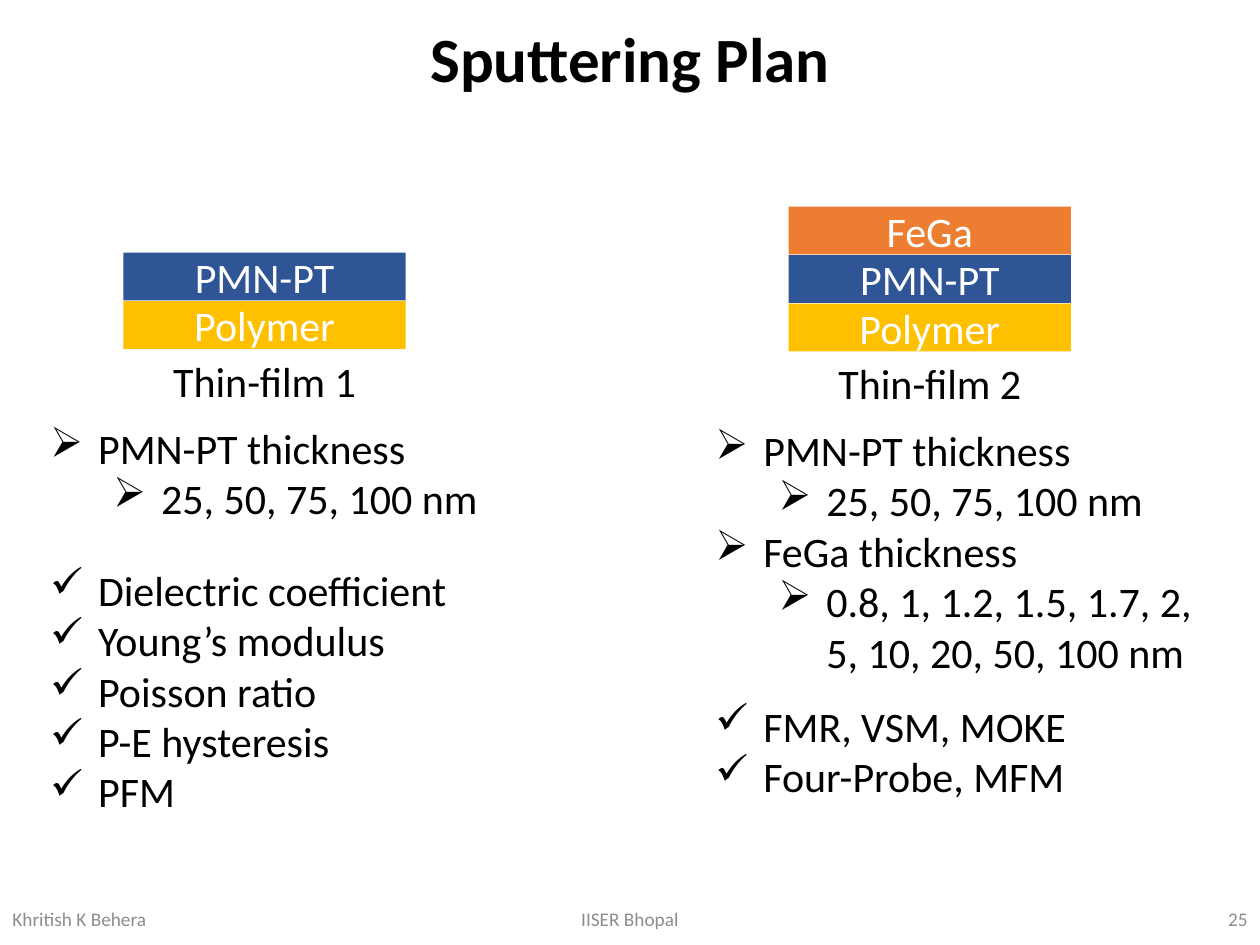
from lxml import etree
from pptx import Presentation
from pptx.dml.color import RGBColor
from pptx.enum.shapes import MSO_SHAPE
from pptx.enum.text import MSO_ANCHOR, PP_ALIGN
from pptx.oxml.ns import qn
from pptx.util import Inches, Pt

LEFT, MID, RIGHT = PP_ALIGN.LEFT, PP_ALIGN.CENTER, PP_ALIGN.RIGHT
TOP, CENTER = MSO_ANCHOR.TOP, MSO_ANCHOR.MIDDLE
RECT = MSO_SHAPE.RECTANGLE
COLORS = {"black": "000000", "white": "FFFFFF", "gray": "8C8C8C",
          "Polymer": "FFC000", "PMN-PT": "2F5597", "FeGa": "ED7D31"}

deck = Presentation()
deck.slide_width, deck.slide_height = Inches(10), Inches(7.5)
slide = deck.slides.add_slide(deck.slide_layouts[6])


def add_run(para, text, size=24, color="black", bold=False):
    run = para.add_run()
    run.text = text
    run.font.name = "Calibri"
    run.font.size = Pt(size)
    run.font.bold = bold
    run.font.color.rgb = RGBColor.from_string(COLORS[color])


def add_box(x, y, w, h, align=LEFT, anchor=TOP):
    box = slide.shapes.add_textbox(Inches(x), Inches(y), Inches(w), Inches(h))
    frame = box.text_frame
    frame.word_wrap = True
    frame.vertical_anchor = anchor
    frame.paragraphs[0].alignment = align
    return frame


# Title
title = add_box(0, 0.01, 10, 0.96, MID, CENTER).paragraphs[0]
title.line_spacing = 0.9
add_run(title, "Sputtering Plan", 36, bold=True)

# Footer
for x, w, align, text in [(0, 2.25, LEFT, "Khritish K Behera"),
                          (3.31, 3.38, MID, "IISER Bhopal"),
                          (7.75, 2.25, RIGHT, "25")]:
    foot = add_box(x, 7.09, w, 0.4, align, CENTER)
    add_run(foot.paragraphs[0], text, 11, "gray")

# Film stacks, layers from bottom to top, with a caption below
WIDTH, THICK, STEP = 2.24, 0.38, 0.385
for x, base, name, films in [
        (0.98, 2.39, "Thin-film 1", ["Polymer", "PMN-PT"]),
        (6.26, 2.41, "Thin-film 2", ["Polymer", "PMN-PT", "FeGa"])]:
    for i, film in enumerate(films):
        layer = slide.shapes.add_shape(RECT, Inches(x), Inches(base - i * STEP),
                                       Inches(WIDTH), Inches(THICK))
        layer.shadow.inherit = False
        layer.fill.solid()
        layer.fill.fore_color.rgb = RGBColor.from_string(COLORS[film])
        layer.line.fill.background()
        layer.text_frame.vertical_anchor = CENTER
        para = layer.text_frame.paragraphs[0]
        para.alignment = MID
        add_run(para, film, color="white")
    label = add_box(x + 0.29, base + THICK, 1.66, 0.5, MID)
    add_run(label.paragraphs[0], name)

# Bullet lists: place, mark, then (level, text) items
lists = [
    (0.3, 3.3, 3.61, 0.91, "➢",
     [(0, "PMN-PT thickness"), (1, "25, 50, 75, 100 nm")]),
    (0.3, 4.43, 3.61, 2.12, "✓",
     [(0, "Dielectric coefficient"), (0, "Young’s modulus"),
      (0, "Poisson ratio"), (0, "P-E hysteresis"), (0, "PFM")]),
    (5.58, 3.32, 4.05, 2.12, "➢",
     [(0, "PMN-PT thickness"), (1, "25, 50, 75, 100 nm"),
      (0, "FeGa thickness"),
      (1, "0.8, 1, 1.2, 1.5, 1.7, 2, 5, 10, 20, 50, 100 nm")]),
    (5.58, 5.51, 3.61, 0.91, "✓",
     [(0, "FMR, VSM, MOKE"), (0, "Four-Probe, MFM")]),
]
for x, y, w, h, mark, items in lists:
    frame = add_box(x, y, w, h)
    for i, (level, text) in enumerate(items):
        para = frame.add_paragraph() if i else frame.paragraphs[0]
        para.level = level
        props = para._p.get_or_add_pPr()
        props.set("marL", str(Inches(0.38 + 0.5 * level)))
        props.set("indent", str(Inches(-0.38)))
        etree.SubElement(props, qn("a:buChar")).set("char", mark)
        add_run(para, text)

deck.save("out.pptx")
